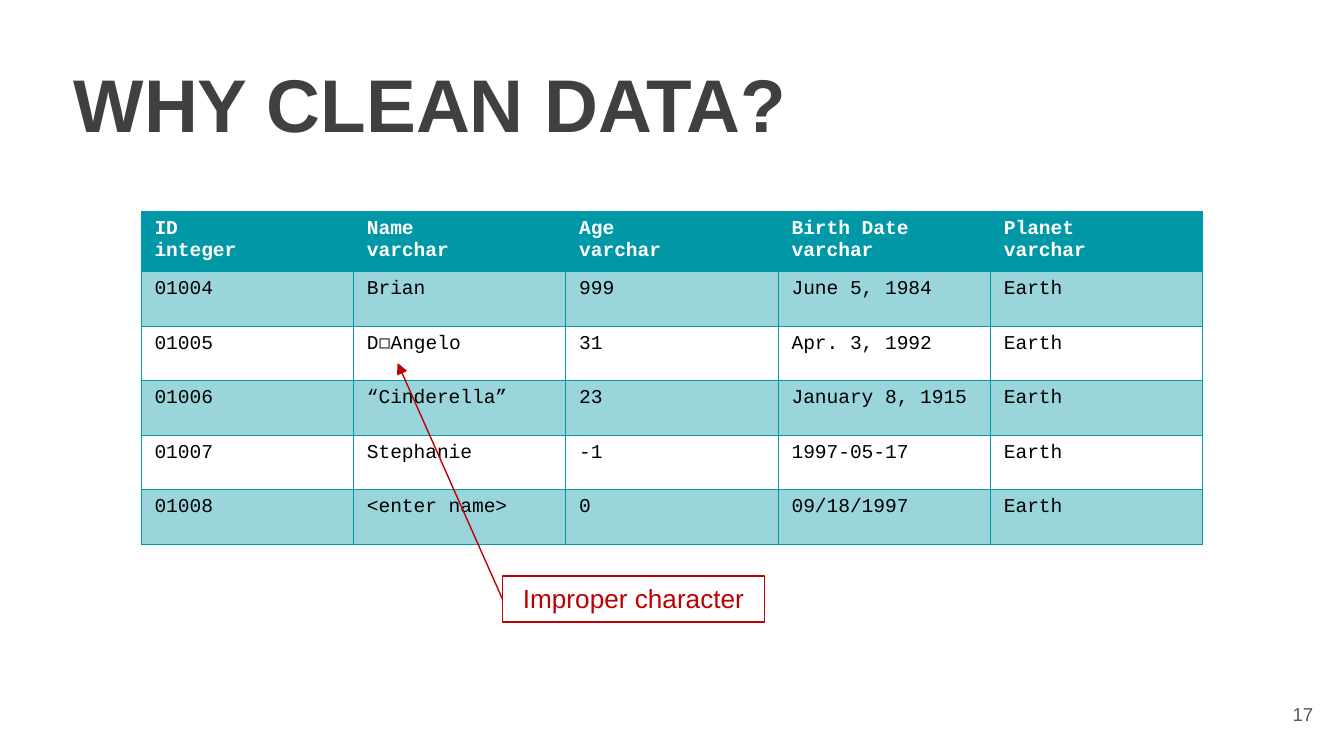
from lxml import etree
from pptx import Presentation
from pptx import util as u
from pptx.dml.color import RGBColor
from pptx.enum import shapes, text
from pptx.oxml import ns

Pt = u.Pt
TEAL = RGBColor(0x00, 0x97, 0xA7)
RED = RGBColor(0xC0, 0x00, 0x00)
DARK = RGBColor(0x40, 0x40, 0x40)
GRAY = RGBColor(0x59, 0x59, 0x59)
BLACK = RGBColor(0x00, 0x00, 0x00)
WHITE = RGBColor(0xFF, 0xFF, 0xFF)

HEADER = ["ID\ninteger", "Name\nvarchar", "Age\nvarchar", "Birth Date\nvarchar", "Planet\nvarchar"]
RECORDS = [
    ["01004", "Brian", "999", "June 5, 1984", "Earth"],
    ["01005", "D◻Angelo", "31", "Apr. 3, 1992", "Earth"],
    ["01006", "“Cinderella”", "23", "January 8, 1915", "Earth"],
    ["01007", "Stephanie", "-1", "1997-05-17", "Earth"],
    ["01008", "<enter name>", "0", "09/18/1997", "Earth"],
]


def add_xml(parent, tag, **attributes):
    return etree.SubElement(parent, ns.qn(tag), attributes)


class SlideStyle:
    font = "Arial"
    code_font = "Courier New"
    line_width = Pt(0.75)
    band_alpha = "40000"

    def __init__(self, slide):
        self.slide = slide

    def set_text(self, frame, content, size, color, font=None, bold=False, align=None, **frame_format):
        """Fill a text frame, one paragraph for each line of the content."""
        for name, value in frame_format.items():
            setattr(frame, name, value)
        frame.text = content
        run_format = {"size": Pt(size), "name": font or self.font, "bold": bold}
        for paragraph in frame.paragraphs:
            paragraph.alignment = align
            for run in paragraph.runs:
                for name, value in run_format.items():
                    setattr(run.font, name, value)
                run.font.color.rgb = color

    def text_box(self, box, content, size, color, **options):
        frame = self.slide.shapes.add_textbox(*map(Pt, box)).text_frame
        margins = {f"margin_{side}": Pt(7.2) for side in ("left", "top", "right", "bottom")}
        self.set_text(frame, content, size, color, **{"word_wrap": True, **margins, **options})

    def callout(self, box, content, size, color):
        callout = self.slide.shapes.add_shape(shapes.MSO_SHAPE.RECTANGLE, *map(Pt, box))
        callout.shadow.inherit = False
        callout.fill.background()
        callout.line.color.rgb = color
        callout.line.width = self.line_width
        self.set_text(callout.text_frame, content, size, color, align=text.PP_ALIGN.CENTER,
                      word_wrap=True, vertical_anchor=text.MSO_ANCHOR.TOP)

    def arrow(self, start, end, color):
        arrow = self.slide.shapes.add_connector(
            shapes.MSO_CONNECTOR.STRAIGHT, *map(Pt, start + end))
        arrow.line.color.rgb = color
        arrow.line.width = self.line_width
        properties = arrow._element.spPr
        add_xml(properties.find(ns.qn("a:ln")), "a:tailEnd", type="triangle")
        add_xml(properties, "a:effectLst")

    def borders(self, cell, color):
        """Insert the four border lines ahead of the cell's fill."""
        properties = cell._tc.get_or_add_tcPr()
        for position, side in enumerate("LRTB"):
            border = etree.Element(ns.qn(f"a:ln{side}"), w=str(int(self.line_width)))
            add_xml(add_xml(border, "a:solidFill"), "a:srgbClr", val=str(color))
            properties.insert(position, border)

    def table(self, box, rows, color):
        """Draw a header row and records whose odd rows are tinted."""
        table = self.slide.shapes.add_table(len(rows), len(rows[0]), *map(Pt, box)).table
        table.first_row = table.horz_banding = False
        for r, row in enumerate(rows):
            for c, content in enumerate(row):
                cell = table.cell(r, c)
                self.set_text(cell.text_frame, content, 10.5, BLACK if r else WHITE,
                              font=self.code_font, bold=r == 0)
                if r and r % 2 == 0:
                    cell.fill.background()
                else:
                    cell.fill.solid()
                    cell.fill.fore_color.rgb = color
                if r % 2:
                    tint = cell._tc.tcPr.find(".//" + ns.qn("a:srgbClr"))
                    add_xml(tint, "a:alpha", val=self.band_alpha)
                self.borders(cell, color)


def main():
    deck = Presentation()
    deck.slide_width, deck.slide_height = Pt(720), Pt(405)
    style = SlideStyle(deck.slides.add_slide(deck.slide_layouts[6]))

    style.text_box((32.4, 19.4, 492.5, 236), "WHY CLEAN DATA?", 40, DARK,
                   bold=True, margin_top=Pt(11.8))
    style.table((75.6, 113.2, 568.8, 175.2), [HEADER] + RECORDS, TEAL)
    style.callout((269.2, 308.7, 140.4, 24.5), "Improper character", 14, RED)
    style.arrow((269.2, 321), (213, 194.5), RED)
    style.text_box((667.4, 367.2, 43.2, 31), "17", 10, GRAY,
                   align=text.PP_ALIGN.RIGHT, vertical_anchor=text.MSO_ANCHOR.MIDDLE)
    deck.save("out.pptx")


if __name__ == "__main__":
    main()
